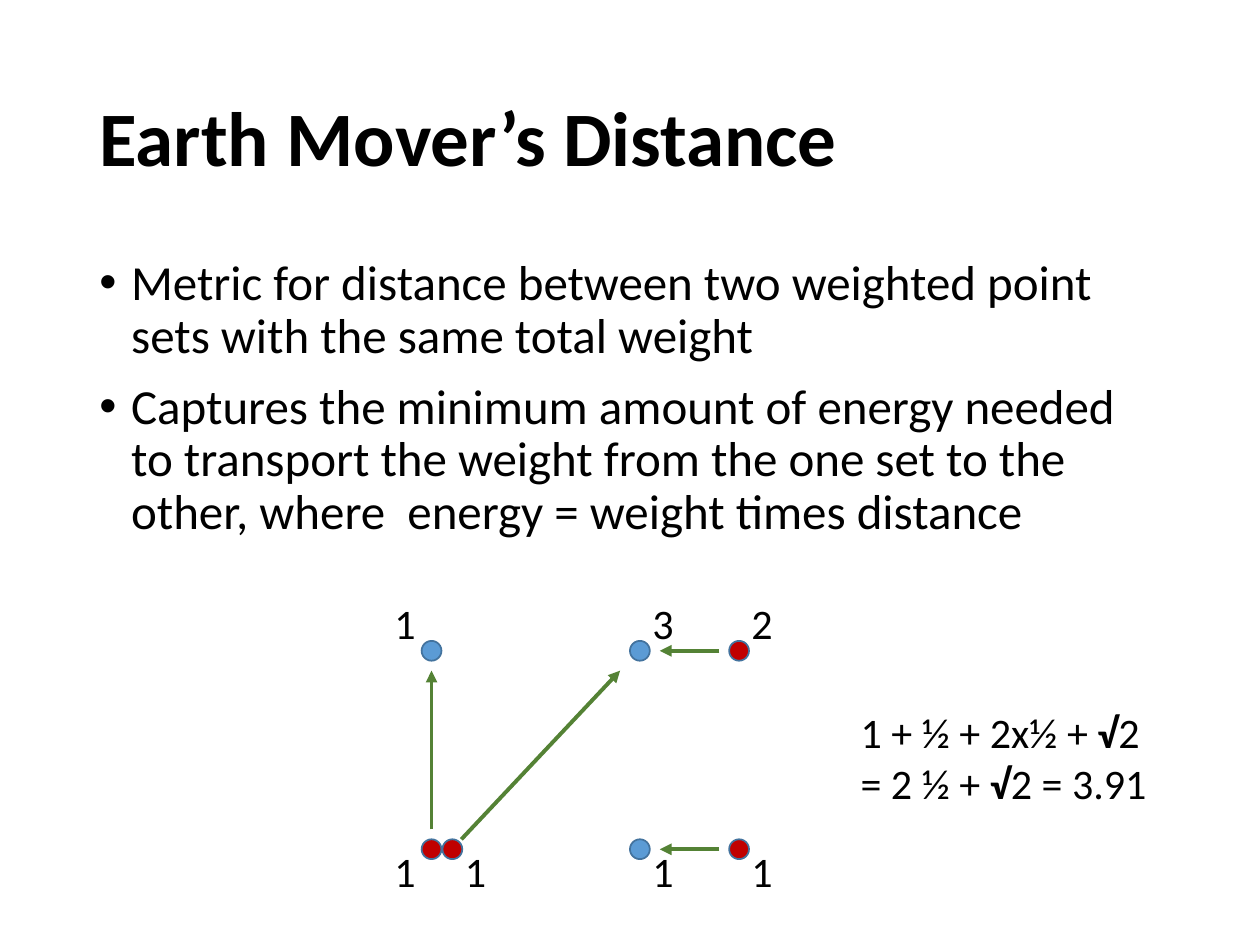
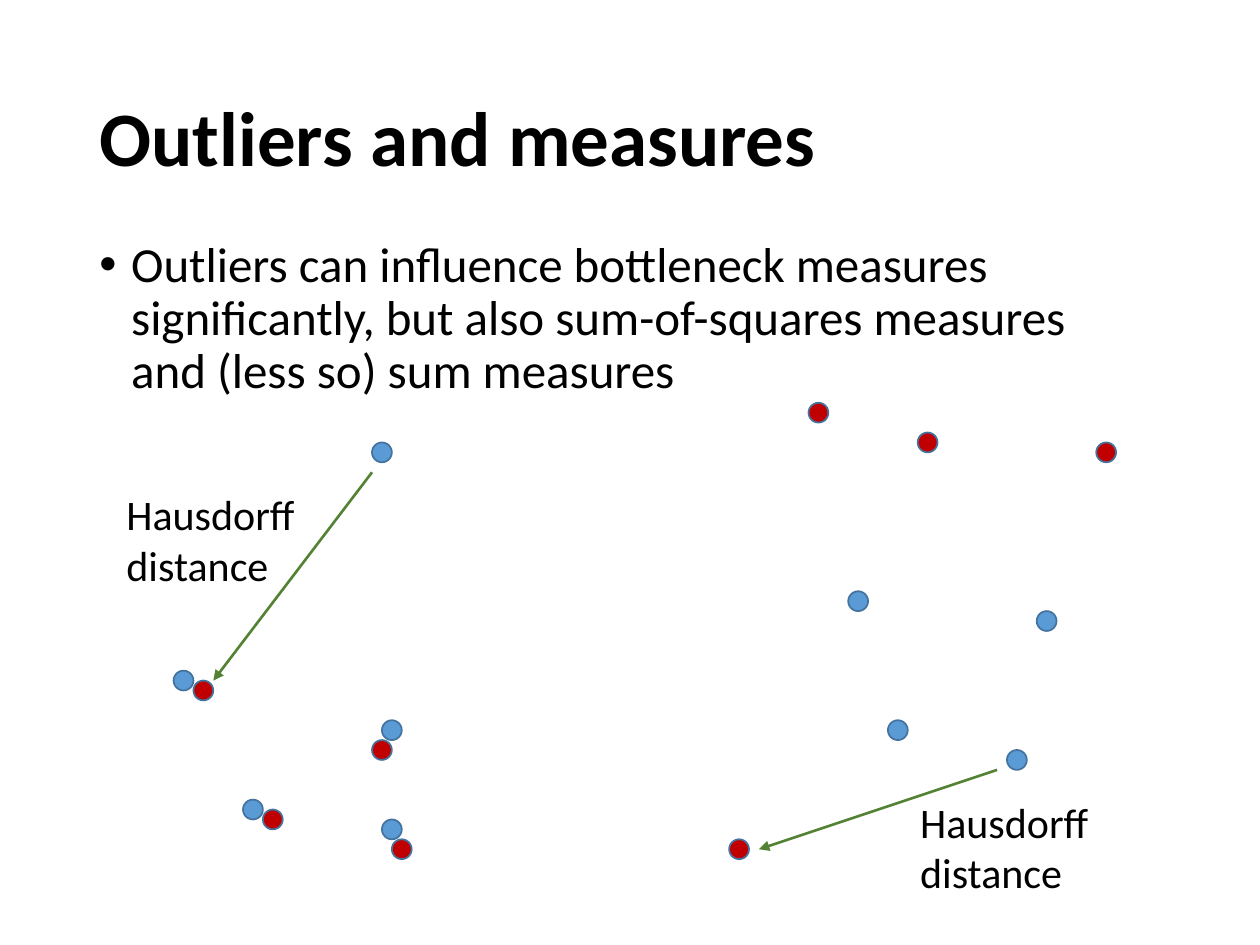
"""Build two slides on the Earth Mover's Distance and on outliers in distance measures."""
from lxml import etree
from pptx import Presentation
from pptx.dml.color import RGBColor
from pptx.enum.shapes import MSO_CONNECTOR as Connector, MSO_SHAPE as Shape
from pptx.enum.text import MSO_ANCHOR as Anchor, MSO_AUTO_SIZE as AutoSize, PP_ALIGN as Align
from pptx.oxml.ns import qn
from pptx.util import Cm, Pt

FONT = "Calibri"
BLACK, RED, BLUE, OUTLINE, GREEN = "000000", "C00000", "5B9BD5", "43739E", "548235"
DOT = 0.4
LEFT, MIDDLE, RIGHT = 8.7, 12.9, 14.9
TOP, BOTTOM = 13.12, 17.12
NEXT_TO_LEFT = LEFT + 0.42


def rgb(code):
    return RGBColor.from_string(code)


def write(frame, paragraphs, size=24, bold=False, spacing=None, before=0, indent=0):
    """Fill a text frame, setting each root sign in bold."""
    for index, content in enumerate(paragraphs):
        paragraph = frame.paragraphs[0] if index == 0 else frame.add_paragraph()
        paragraph.alignment = Align.LEFT
        paragraph.space_before = Pt(before if index else 0)
        if spacing:
            paragraph.line_spacing = spacing
        if indent:
            properties = paragraph._p.get_or_add_pPr()
            properties.set("marL", str(Cm(indent)))
            properties.set("indent", str(-Cm(indent)))
        for part in content.replace("√", "|√|").split("|"):
            run = paragraph.add_run()
            run.text = part
            run.font.name = FONT
            run.font.size = Pt(size)
            run.font.bold = bold or part == "√"
            run.font.color.rgb = rgb(BLACK)


topics = [
    {
        "title": "Earth Mover’s Distance",
        "points": [
            "Metric for distance between two weighted point sets with the same total weight",
            "Captures the minimum amount of energy needed to transport the weight from the "
            "one set to the other, where  energy = weight times distance",
        ],
        "body": (1.75, 5.08, 21.9, 6.45),
        "dots": {
            RED: [(LEFT, BOTTOM), (NEXT_TO_LEFT, BOTTOM), (RIGHT, BOTTOM), (RIGHT, TOP)],
            BLUE: [(LEFT, TOP), (MIDDLE, TOP), (MIDDLE, BOTTOM)],
        },
        "arrow_width": 2.25,
        "arrows": [
            (LEFT, BOTTOM - 0.4, LEFT, TOP + 0.4),
            (RIGHT - 0.4, TOP, MIDDLE + 0.4, TOP),
            (RIGHT - 0.4, BOTTOM, MIDDLE + 0.4, BOTTOM),
            (9.3, BOTTOM - 0.2, MIDDLE - 0.4, TOP + 0.4),
        ],
        "labels": [
            (LEFT - 1, TOP - 1.2, 0.93, ["1"]),
            (MIDDLE, TOP - 1.2, 0.93, ["3"]),
            (RIGHT, TOP - 1.2, 0.93, ["2"]),
            (LEFT - 1, BOTTOM - 0.2, 0.93, ["1"]),
            (NEXT_TO_LEFT, BOTTOM - 0.2, 0.93, ["1"]),
            (MIDDLE, BOTTOM - 0.2, 0.93, ["1"]),
            (RIGHT, BOTTOM - 0.2, 0.93, ["1"]),
            (17.1, 14.12, 6.35, ["1 + ½ + 2x½ + √2", "= 2 ½ + √2 = 3.91"]),
        ],
    },
    {
        "title": "Outliers and measures",
        "points": [
            "Outliers can influence bottleneck measures significantly, but also "
            "sum-of-squares measures and (less so) sum measures",
        ],
        "body": (1.75, 4.72, 20.95, 4.45),
        "dots": {
            RED: [(4.1, 13.92), (7.7, 15.12), (5.5, 16.52), (8.1, 17.12),
                  (18.7, 8.92), (22.3, 9.12), (14.9, 17.12), (16.5, 8.32)],
            BLUE: [(3.7, 13.72), (5.1, 16.32), (7.9, 14.72), (7.7, 9.12), (7.9, 16.72),
                   (17.3, 12.12), (18.1, 14.72), (21.1, 12.52), (20.5, 15.32)],
        },
        "arrow_width": 1.5,
        "arrows": [(7.5, 9.52, 4.3, 13.72), (20.1, 15.52, 15.3, 17.12)],
        "labels": [
            (2.3, 9.73, 3.96, ["Hausdorff", "distance"]),
            (18.3, 15.93, 3.96, ["Hausdorff", "distance"]),
        ],
    },
]

deck = Presentation()
deck.slide_width, deck.slide_height = Cm(25.4), Cm(19.05)

for topic in topics:
    slide = deck.slides.add_slide(deck.slide_layouts[1])
    title, body = slide.placeholders

    title.left, title.top, title.width, title.height = map(Cm, (1.75, 1.02, 21.9, 3.68))
    title.text_frame.auto_size = AutoSize.NONE
    title.text_frame.vertical_anchor = Anchor.MIDDLE
    write(title.text_frame, [topic["title"]], size=44, bold=True, spacing=0.9)

    body.left, body.top, body.width, body.height = map(Cm, topic["body"])
    body.text_frame.auto_size = AutoSize.NONE
    write(body.text_frame, topic["points"], size=28, spacing=0.9, before=10, indent=0.64)

    for colour, centres in topic["dots"].items():
        for x, y in centres:
            dot = slide.shapes.add_shape(
                Shape.OVAL, Cm(x - DOT / 2), Cm(y - DOT / 2), Cm(DOT), Cm(DOT))
            dot.shadow.inherit = False
            dot.fill.solid()
            dot.fill.fore_color.rgb = rgb(colour)
            dot.line.color.rgb = rgb(OUTLINE)
            dot.line.width = Pt(1)

    for ends in topic["arrows"]:
        arrow = slide.shapes.add_connector(Connector.STRAIGHT, *map(Cm, ends))
        arrow.line.color.rgb = rgb(GREEN)
        arrow.line.width = Pt(topic["arrow_width"])
        etree.SubElement(arrow.line._get_or_add_ln(), qn("a:tailEnd"), type="triangle")
        etree.SubElement(arrow._element.spPr, qn("a:effectLst"))

    for x, y, width, lines in topic["labels"]:
        height = 1.28 if len(lines) == 1 else 2.31
        label = slide.shapes.add_textbox(Cm(x), Cm(y), Cm(width), Cm(height))
        label.text_frame.word_wrap = False
        label.text_frame.auto_size = AutoSize.SHAPE_TO_FIT_TEXT
        write(label.text_frame, lines)

deck.save("out.pptx")
